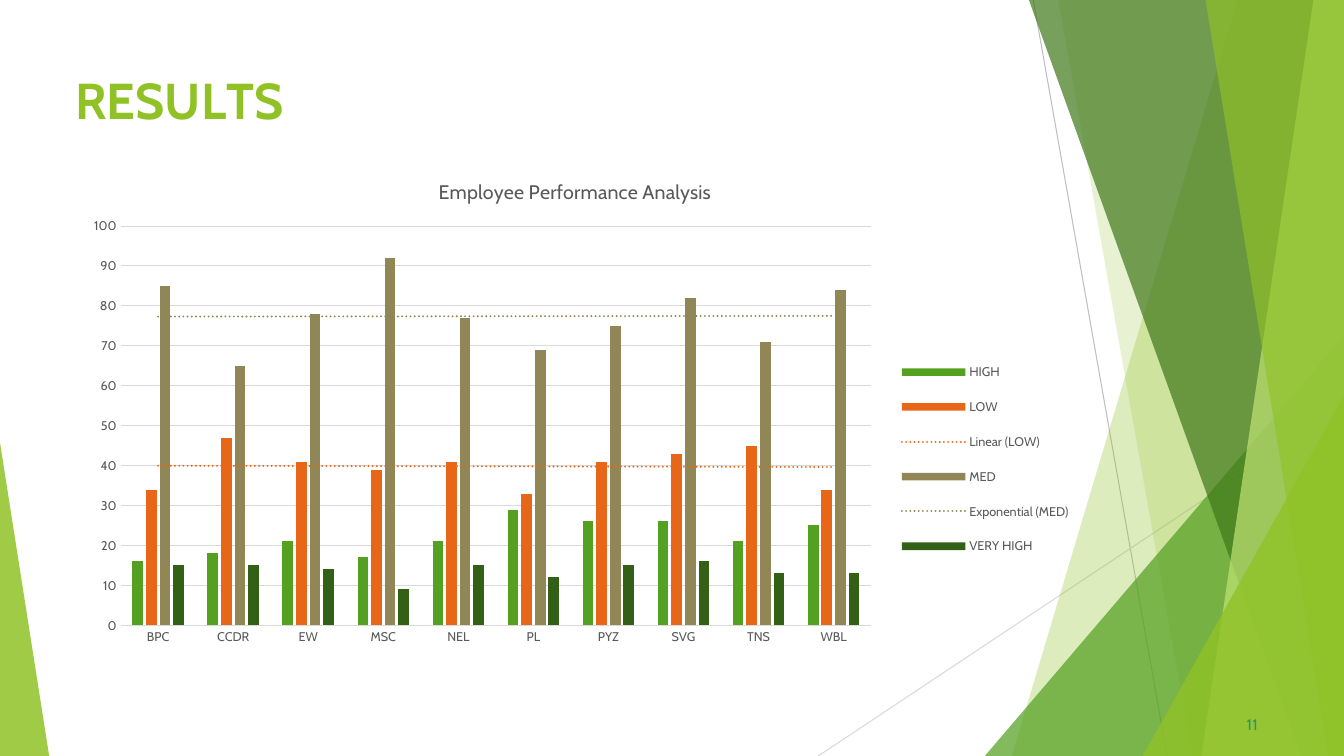
"""Build the results slide: a chart of employee performance beside green facets."""
from dataclasses import dataclass

import lxml.etree
import pptx
import pptx.chart.chart
import pptx.chart.data
import pptx.chart.series
import pptx.dml.color
import pptx.enum.chart
import pptx.enum.shapes
import pptx.enum.text
import pptx.oxml.ns
import pptx.shapes.base
import pptx.slide
import pptx.text.text
import pptx.util

Cm = pptx.util.Cm
Pt = pptx.util.Pt
RGB = pptx.dml.color.RGBColor
qn = pptx.oxml.ns.qn

LIME = RGB(0x90, 0xC2, 0x26)
PALE_LIME = RGB(0xC0, 0xE4, 0x74)
GREEN = RGB(0x54, 0xA0, 0x21)
FOREST = RGB(0x3F, 0x78, 0x19)
DARK_GREEN = RGB(0x32, 0x60, 0x14)
ORANGE = RGB(0xE7, 0x66, 0x18)
KHAKI = RGB(0x91, 0x86, 0x55)
TEAL = RGB(0x2D, 0x93, 0x6B)
TEXT_GREY = RGB(0x59, 0x59, 0x59)
GRID_GREY = RGB(0xD9, 0xD9, 0xD9)
LINE_GREY = RGB(0xBF, 0xBF, 0xBF)
FONT = "Cabin"
WIDTH, HEIGHT = 33.87, 19.05


@dataclass
class Ray:
    start: tuple[float, float]
    end: tuple[float, float]
    color: RGB


@dataclass
class Panel:
    top_x: float
    bottom_x: float
    color: RGB
    opacity: int


@dataclass
class Corner:
    left: float
    top: float
    width: float
    apex: float
    color: RGB
    opacity: int


@dataclass
class Rating:
    name: str
    values: tuple[int, ...]
    color: RGB
    trend: str = ""


RAYS = (
    Ray((26.04, 0), (29.41, HEIGHT), LINE_GREY),
    Ray((WIDTH, 10.24), (20.62, HEIGHT), GRID_GREY),
)
FACETS = (
    Panel(31.19, 25.5, LIME, 30),
    Panel(26.67, 30.05, LIME, 20),
    Corner(24.82, 8.46, 9.05, 1, GREEN, 72),
    Panel(25.93, 32.79, FOREST, 70),
    Panel(33.1, 30.28, PALE_LIME, 70),
    Panel(30.38, 33.48, LIME, 65),
    Corner(28.8, 9.98, 5.07, 1, LIME, 80),
    Corner(0, 11.15, 1.24, 0, LIME, 85),
)
TEAMS = ("BPC", "CCDR", "EW", "MSC", "NEL", "PL", "PYZ", "SVG", "TNS", "WBL")
RATINGS = (
    Rating("HIGH", (16, 18, 21, 17, 21, 29, 26, 26, 21, 25), GREEN),
    Rating("LOW", (34, 47, 41, 39, 41, 33, 41, 43, 45, 34), ORANGE, "linear"),
    Rating("MED", (85, 65, 78, 92, 77, 69, 75, 82, 71, 84), KHAKI, "exp"),
    Rating("VERY HIGH", (15, 15, 14, 9, 15, 12, 15, 16, 13, 13), DARK_GREEN),
)
HEADING = (("R", 0), ("E", -0.4), ("S", 0.1), ("U", -0.3), ("L", -4), ("TS", 0))


def style_font(font: pptx.text.text.Font, size: float, color: RGB, bold: bool = False) -> None:
    font.name, font.size, font.bold = FONT, Pt(size), bold
    font.color.rgb = color


def add_ray(slide: pptx.slide.Slide, ray: Ray) -> None:
    line = slide.shapes.add_connector(
        pptx.enum.shapes.MSO_CONNECTOR.STRAIGHT, *map(Cm, ray.start + ray.end))
    line.line.color.rgb = ray.color
    line.line.width = Pt(0.75)
    lxml.etree.SubElement(line._element.spPr, qn("a:effectLst"))


def add_facet(slide: pptx.slide.Slide, facet: Panel | Corner) -> None:
    if isinstance(facet, Panel):
        outline = slide.shapes.build_freeform(Cm(facet.top_x), 0)
        outline.add_line_segments(
            [(Cm(WIDTH), 0), (Cm(WIDTH), Cm(HEIGHT)), (Cm(facet.bottom_x), Cm(HEIGHT))])
        shape = outline.convert_to_shape()
    else:
        shape = slide.shapes.add_shape(
            pptx.enum.shapes.MSO_SHAPE.ISOSCELES_TRIANGLE, Cm(facet.left), Cm(facet.top),
            Cm(facet.width), Cm(HEIGHT - facet.top))
        shape.adjustments[0] = facet.apex
    shape.shadow.inherit = False
    shape.line.fill.background()
    shape.fill.solid()
    shape.fill.fore_color.rgb = facet.color
    tint = shape._element.spPr.find(f"{qn('a:solidFill')}/{qn('a:srgbClr')}")
    lxml.etree.SubElement(tint, qn("a:alpha")).set("val", str(facet.opacity * 1000))


def write(box: pptx.shapes.base.BaseShape, runs: tuple[tuple[str, float], ...],
          size: float, color: RGB, bold: bool, before: float) -> None:
    frame = box.text_frame
    frame.word_wrap = True
    frame.auto_size = pptx.enum.text.MSO_AUTO_SIZE.NONE
    frame.vertical_anchor = pptx.enum.text.MSO_ANCHOR.TOP
    frame.margin_left = frame.margin_right = frame.margin_bottom = 0
    frame.margin_top = Cm(0.03)
    paragraph = frame.paragraphs[0]
    paragraph.alignment = pptx.enum.text.PP_ALIGN.LEFT
    paragraph.space_before = Pt(before)
    for text, spacing in runs:
        run = paragraph.add_run()
        run.text = text
        style_font(run.font, size, color, bold)
        run._r.get_or_add_rPr().set("spc", str(round(spacing * 100)))


def make_layout(x: float, y: float, w: float, h: float, inner: bool) -> lxml.etree._Element:
    target = '<c:layoutTarget val="inner"/>' if inner else ""
    return pptx.oxml.parse_xml(
        f'<c:layout {pptx.oxml.ns.nsdecls("c")}><c:manualLayout>{target}'
        '<c:xMode val="edge"/><c:yMode val="edge"/>'
        f'<c:x val="{x}"/><c:y val="{y}"/><c:w val="{w}"/><c:h val="{h}"/>'
        '</c:manualLayout></c:layout>')


def place(part: lxml.etree._Element, position: int, layout: lxml.etree._Element) -> None:
    for old in part.findall(qn("c:layout")):
        part.remove(old)
    part.insert(position, layout)


def add_trend(series: pptx.chart.series.BarSeries, rating: Rating) -> None:
    trend = pptx.oxml.parse_xml(
        f'<c:trendline {pptx.oxml.ns.nsdecls("c", "a")}><c:spPr><a:ln w="19050" cap="rnd">'
        f'<a:solidFill><a:srgbClr val="{rating.color}"/></a:solidFill>'
        '<a:prstDash val="sysDot"/></a:ln></c:spPr>'
        f'<c:trendlineType val="{rating.trend}"/>'
        '<c:dispRSqr val="0"/><c:dispEq val="0"/></c:trendline>')
    series._element.find(qn("c:cat")).addprevious(trend)


def style_axes(chart: pptx.chart.chart.Chart) -> None:
    teams, scores = chart.category_axis, chart.value_axis
    for axis in (teams, scores):
        axis.major_tick_mark = axis.minor_tick_mark = pptx.enum.chart.XL_TICK_MARK.NONE
        style_font(axis.tick_labels.font, 9, TEXT_GREY)
    scores.minimum_scale, scores.maximum_scale, scores.major_unit = 0, 100, 10
    scores.format.line.fill.background()
    for line in (teams.format.line, scores.major_gridlines.format.line):
        line.color.rgb = GRID_GREY
        line.width = Pt(0.75)


def add_performance_chart(slide: pptx.slide.Slide) -> None:
    data = pptx.chart.data.CategoryChartData()
    data.categories = TEAMS
    for rating in RATINGS:
        data.add_series(rating.name, rating.values)
    chart = slide.shapes.add_chart(
        pptx.enum.chart.XL_CHART_TYPE.COLUMN_CLUSTERED,
        Cm(1.88), Cm(4.01), Cm(25.22), Cm(12.5), data).chart
    style_font(chart.font, 10, TEXT_GREY)
    caption = chart.chart_title.text_frame.paragraphs[0].add_run()
    caption.text = "Employee Performance Analysis"
    style_font(caption.font, 14, TEXT_GREY)
    style_axes(chart)
    plot = chart.plots[0]
    plot.vary_by_categories = False
    plot.gap_width, plot.overlap = 219, -27
    for series, rating in zip(plot.series, RATINGS):
        series.format.fill.solid()
        series.format.fill.fore_color.rgb = rating.color
        if rating.trend:
            add_trend(series, rating)
    chart.has_legend = True
    chart.legend.position = pptx.enum.chart.XL_LEGEND_POSITION.RIGHT
    chart.legend.include_in_layout = False
    style_font(chart.legend.font, 9, TEXT_GREY)
    place(chart._chartSpace.chart.plotArea, 0, make_layout(0.046, 0.135, 0.75, 0.805, True))
    place(chart.legend._element, 1, make_layout(0.82, 0.375, 0.18, 0.46, False))


def main() -> None:
    deck = pptx.Presentation()
    deck.slide_width, deck.slide_height = Cm(WIDTH), Cm(HEIGHT)
    slide = deck.slides.add_slide(deck.slide_layouts[5])
    for ray in RAYS:
        add_ray(slide, ray)
    for facet in FACETS:
        add_facet(slide, facet)
    heading = slide.shapes.title
    heading.left, heading.top, heading.width, heading.height = map(Cm, (1.9, 1.7, 23.88, 3.66))
    write(heading, HEADING, 36, LIME, True, 1.1)
    page_number = slide.shapes.add_textbox(Cm(31.42), Cm(17.98), Cm(0.64), Cm(0.53))
    write(page_number, (("11", 0.1),), 11, TEAL, False, 0.6)
    add_performance_chart(slide)
    deck.save("out.pptx")


if __name__ == "__main__":
    main()
